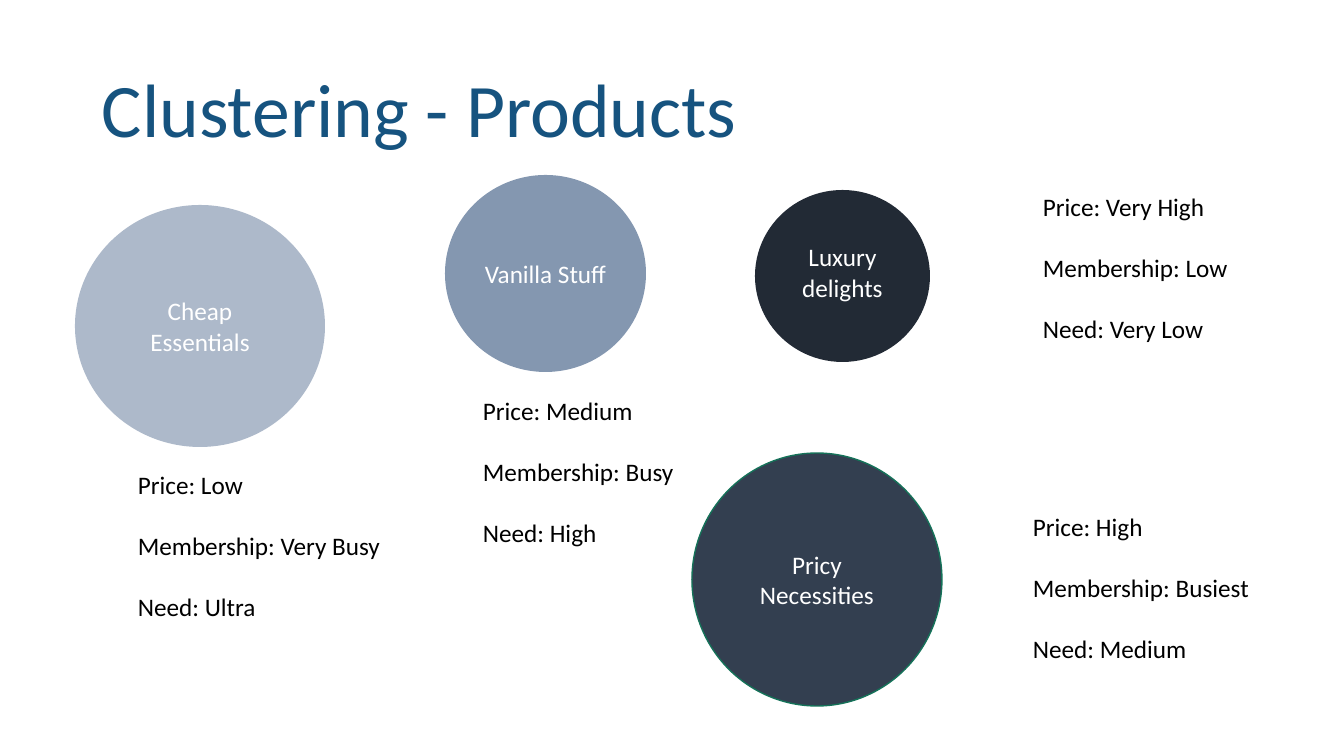
import dataclasses

import pptx
import pptx.dml.color
import pptx.enum.shapes
import pptx.enum.text
import pptx.util

ANCHOR = pptx.enum.text.MSO_ANCHOR
ALIGN = pptx.enum.text.PP_ALIGN


@dataclasses.dataclass(frozen=True)
class Theme:
    font: str = "Calibri"
    title_size: int = 54
    body_size: int = 18
    title: str = "16537F"
    body: str = "000000"
    label: str = "FFFFFF"
    ring: str = "157259"
    cheap: str = "ADB9CA"
    vanilla: str = "8497B0"
    luxury: str = "222A35"
    pricy: str = "333F50"


def px(count):
    return pptx.util.Emu(round(count * 914400 / 100.8))


def color(code):
    return pptx.dml.color.RGBColor.from_string(code)


def write(frame, *lines, font, size, ink, align=ALIGN.LEFT,
          anchor=ANCHOR.TOP, gap=0, line_spacing=None):
    """Fill a text frame with one paragraph per line."""
    frame.word_wrap = True
    frame.vertical_anchor = anchor
    for index, line in enumerate(lines):
        para = frame.paragraphs[0] if index == 0 else frame.add_paragraph()
        para.alignment = align
        para.line_spacing = line_spacing
        if index:
            para.space_before = pptx.util.Pt(gap)
        span = para.add_run()
        span.text = line
        span.font.name = font
        span.font.size = pptx.util.Pt(size)
        span.font.color.rgb = color(ink)


class ClusterPage:
    def __init__(self, page, theme):
        self.page = page
        self.theme = theme

    def text_box(self, place, *lines, **style):
        box = self.page.shapes.add_textbox(*map(px, place))
        write(box.text_frame, *lines, font=self.theme.font, **style)

    def title(self, place, text):
        self.text_box(place, text, size=self.theme.title_size,
                      ink=self.theme.title, anchor=ANCHOR.MIDDLE,
                      line_spacing=0.9)

    def traits(self, place, price, membership, need):
        self.text_box(place, f"Price: {price}", f"Membership: {membership}",
                      f"Need: {need}", size=self.theme.body_size,
                      ink=self.theme.body, gap=22)

    def circle(self, place, label, fill, ring=None, lift=0):
        kind = pptx.enum.shapes.MSO_SHAPE.FLOWCHART_CONNECTOR
        shape = self.page.shapes.add_shape(kind, *map(px, place))
        shape.shadow.inherit = False
        shape.fill.solid()
        shape.fill.fore_color.rgb = color(fill)
        if ring:
            shape.line.color.rgb = color(ring)
            shape.line.width = pptx.util.Pt(1)
        else:
            shape.line.fill.background()
        frame = shape.text_frame
        frame.margin_left = frame.margin_right = px(8)
        frame.margin_bottom = px(5 + 2 * lift)
        write(frame, label, font=self.theme.font, size=self.theme.body_size,
              ink=self.theme.label, align=ALIGN.CENTER, anchor=ANCHOR.MIDDLE)


def main():
    deck = pptx.Presentation()
    deck.slide_width, deck.slide_height = px(1344), px(756)
    theme = Theme()
    slide = ClusterPage(deck.slides.add_slide(deck.slide_layouts[6]), theme)

    # Heading
    slide.title((92, 40, 1159, 146), "Clustering - Products")

    # Product clusters
    slide.circle((692, 453, 250, 253), "Pricy Necessities", theme.pricy,
                 ring=theme.ring)
    slide.circle((755, 190, 175, 172), "Luxury delights", theme.luxury, lift=4)
    slide.circle((445, 175, 201, 197), "Vanilla Stuff", theme.vanilla)
    slide.circle((75, 205, 250, 242), "Cheap Essentials", theme.cheap)

    # Traits of each cluster
    slide.traits((473, 390, 250, 163), "Medium", "Busy", "High")
    slide.traits((1023, 506, 250, 163), "High", "Busiest", "Medium")
    slide.traits((1033, 186, 250, 163), "Very High", "Low", "Very Low")
    slide.traits((128, 464, 275, 163), "Low", "Very Busy", "Ultra")

    deck.save("out.pptx")


if __name__ == "__main__":
    main()
